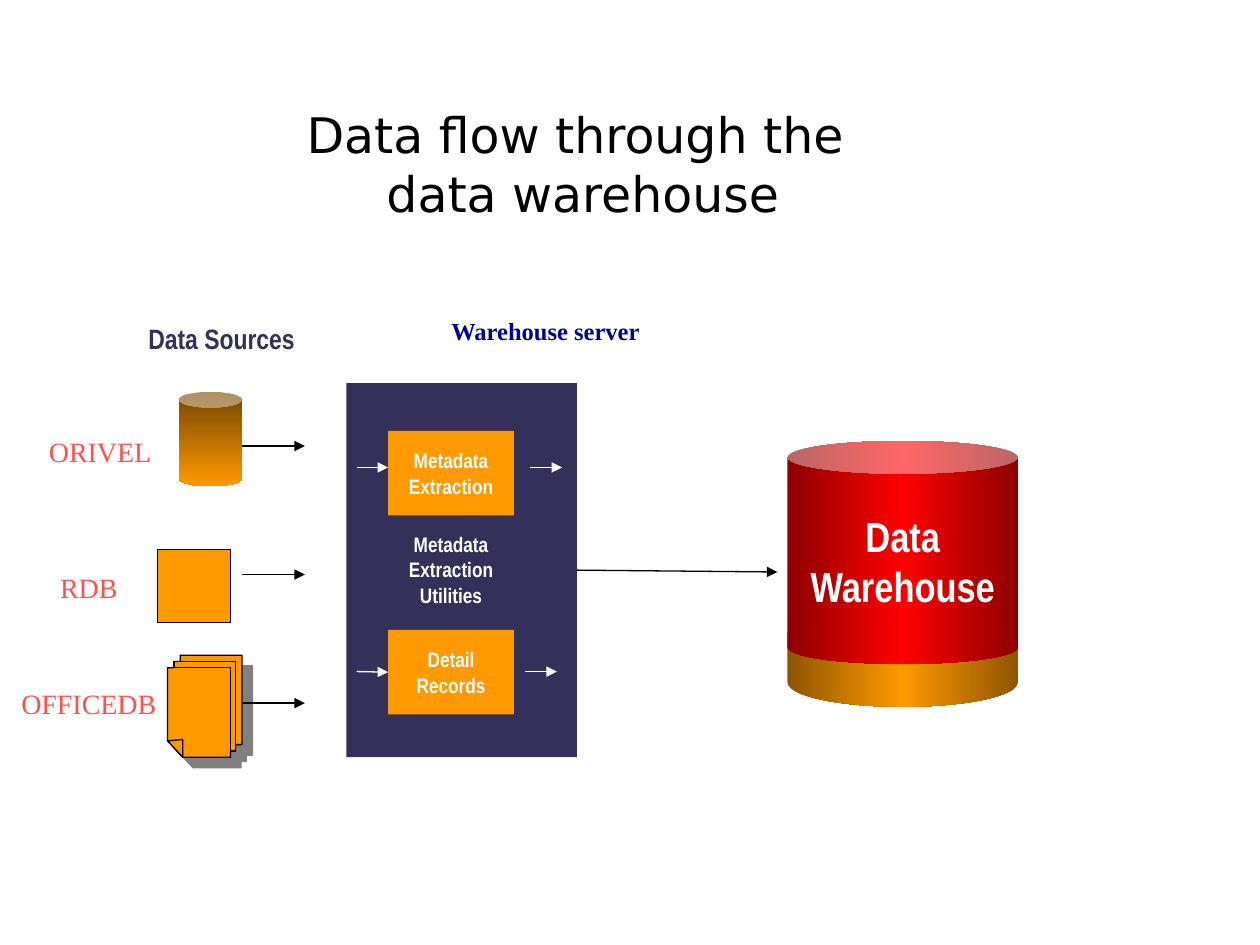
from lxml import etree
from pptx import Presentation
from pptx.dml.color import RGBColor
from pptx.enum.shapes import MSO_CONNECTOR, MSO_SHAPE
from pptx.enum.text import MSO_ANCHOR, MSO_AUTO_SIZE, PP_ALIGN
from pptx.oxml.ns import qn
from pptx.util import Inches, Pt

STRAIGHT = MSO_CONNECTOR.STRAIGHT
RECT, CAN = MSO_SHAPE.RECTANGLE, MSO_SHAPE.CAN
MIDDLE, TOP = MSO_ANCHOR.MIDDLE, MSO_ANCHOR.TOP
CENTER, LEFT = PP_ALIGN.CENTER, PP_ALIGN.LEFT
NO_AUTOFIT = MSO_AUTO_SIZE.NONE

NARROW, SERIF, SANS = "Arial Narrow", "Times New Roman", "DejaVu Sans"
NAVY, ORANGE, WHITE, BLACK = "333059", "FF9900", "FFFFFF", "000000"
BLUE, CORAL, GRAY = "000099", "FF5050", "808080"

PAGE_STACK = [
    [(133, 588), (133, 530), (138, 530), (138, 525), (143, 525), (143, 520), (192, 520),
     (192, 591), (187, 591), (187, 596), (183, 596), (183, 601), (145, 601)],
    [(143, 525), (187, 525), (187, 596), (183, 596), (183, 530), (138, 530), (138, 525)],
    [(133, 588), (145, 587), (145, 601)],
]


def rgb(color):
    """Turn a hex string into a colour."""
    return RGBColor.from_string(color)


def write(shape, lines, size=12, font=NARROW, color=WHITE, bold=False,
          align=CENTER, anchor=MIDDLE, wrap=False):
    """Fill a shape with one formatted paragraph per line."""
    frame = shape.text_frame
    frame.auto_size = NO_AUTOFIT
    frame.word_wrap = wrap
    frame.vertical_anchor = anchor
    frame.text = lines[0]
    for line in lines[1:]:
        frame.add_paragraph().text = line
    for paragraph in frame.paragraphs:
        paragraph.alignment = align
        paragraph.font.size = Pt(size)
        paragraph.font.name = font
        paragraph.font.bold = bold
        paragraph.font.color.rgb = rgb(color)


def paint(shape, fill, line=None):
    """Give a shape a flat fill and an optional thin outline."""
    shape.shadow.inherit = False
    shape.fill.solid()
    shape.fill.fore_color.rgb = rgb(fill)
    if line:
        shape.line.color.rgb = rgb(line)
        shape.line.width = Pt(0.75)
    else:
        shape.line.fill.background()


def add_box(slide, left, top, width, height, fill, line=None):
    """Add a plain rectangle."""
    box = slide.shapes.add_shape(RECT, Inches(left), Inches(top), Inches(width), Inches(height))
    paint(box, fill, line)
    return box


def add_cylinder(slide, left, top, width, height, curve, colors, angle=0):
    """Add a can with evenly spaced gradient colours."""
    can = slide.shapes.add_shape(CAN, Inches(left), Inches(top), Inches(width), Inches(height))
    can.shadow.inherit = False
    can.adjustments[0] = curve
    can.line.fill.background()
    can.fill.gradient()
    can.fill.gradient_angle = angle
    stops = can._element.spPr.find(".//" + qn("a:gsLst"))
    for stop in list(stops):
        stops.remove(stop)
    for index, color in enumerate(colors):
        position = str(100000 * index // (len(colors) - 1))
        stop = etree.SubElement(stops, qn("a:gs"), pos=position)
        etree.SubElement(stop, qn("a:srgbClr"), val=color)
    return can


def add_arrow(slide, x1, x2, y, color=BLACK, source=None, target=None):
    """Add a horizontal arrow, joined to the boxes it touches."""
    arrow = slide.shapes.add_connector(STRAIGHT, Inches(x1), Inches(y), Inches(x2), Inches(y))
    arrow.line.color.rgb = rgb(color)
    arrow.line.width = Pt(0.75)
    etree.SubElement(arrow.line._get_or_add_ln(), qn("a:tailEnd"), type="triangle")
    etree.SubElement(arrow._element.spPr, qn("a:effectLst"))
    if source:
        arrow.begin_connect(source, 3)
    if target:
        arrow.end_connect(target, 1)


def add_page_stack(slide):
    """Add the stacked pages with a hard drop shadow."""
    outline, *edges = PAGE_STACK
    builder = slide.shapes.build_freeform(*outline[0], scale=Inches(0.01))
    builder.add_line_segments(outline[1:])
    for edge in edges:
        builder.move_to(*edge[0])
        builder.add_line_segments(edge[1:])
    pages = builder.convert_to_shape()
    paint(pages, ORANGE, BLACK)
    properties = pages._element.spPr
    path_list = properties.find(".//" + qn("a:pathLst"))
    combined = path_list[0]
    for step in list(combined):
        if step.tag == qn("a:moveTo"):
            path = etree.SubElement(path_list, qn("a:path"), dict(combined.attrib))
        path.append(step)
        if step.getnext() is None and path[-1].tag != qn("a:close"):
            continue
    path_list.remove(combined)
    for path in path_list:
        if path[-1].tag != qn("a:close"):
            etree.SubElement(path, qn("a:close"))
    shadow = etree.SubElement(properties.find(qn("a:effectLst")), qn("a:outerShdw"),
                              dist=str(Pt(8.5)), dir="2700000", algn="ctr", rotWithShape="0")
    etree.SubElement(shadow, qn("a:srgbClr"), val=GRAY)


def add_text(slide, left, top, width, height, lines, **style):
    """Add a wrapped text box anchored at the top."""
    box = slide.shapes.add_textbox(Inches(left), Inches(top), Inches(width), Inches(height))
    write(box, lines, anchor=TOP, wrap=True, **style)


def add_title(slide, text):
    """Place and format the slide title."""
    title = slide.shapes.title
    title.left, title.top = Inches(0), Inches(0.67)
    title.width, title.height = Inches(9.25), Inches(1.25)
    write(title, [text], size=28, font=SANS, color=BLACK, wrap=True)


def add_sources(slide):
    """Draw the data sources, their names and outgoing arrows."""
    add_text(slide, 1.08, 2.5, 1.83, 0.37, ["Data Sources"],
             size=16, color=NAVY, bold=True, align=LEFT)
    add_cylinder(slide, 1.42, 3.11, 0.5, 0.75, 0.25, ["754600", ORANGE], angle=270)
    add_box(slide, 1.25, 4.36, 0.58, 0.58, ORANGE, BLACK)
    add_page_stack(slide)
    for row in range(3):
        add_arrow(slide, 1.92, 2.42, 3.54 + 1.02 * row)
    for name, left, top in [("ORIVEL", 0.42, 3.42), ("RDB", 0.33, 4.5), ("OFFICEDB", 0.33, 5.42)]:
        label = add_box(slide, left, top, 0.75, 0.33, WHITE, WHITE)
        write(label, [name], size=16, font=SERIF, color=CORAL)


def add_server(slide):
    """Draw the warehouse server with its steps and return its panel."""
    heading = add_box(slide, 3.33, 2.5, 2, 0.25, WHITE, WHITE)
    write(heading, ["Warehouse server"], size=14, font=SERIF, color=BLUE, bold=True)
    server = add_box(slide, 2.75, 3.04, 1.83, 2.97, NAVY)
    extraction = add_box(slide, 3.08, 3.42, 1, 0.67, ORANGE)
    write(extraction, ["Metadata", "Extraction"], bold=True)
    records = add_box(slide, 3.08, 5, 1, 0.67, ORANGE)
    write(records, ["Detail", "Records"], bold=True)
    add_text(slide, 3.08, 4.17, 1, 0.75, ["Metadata", "Extraction", "Utilities"], bold=True)
    add_arrow(slide, 2.83, 3.08, 3.71, WHITE)
    add_arrow(slide, 4.21, 4.46, 3.71, WHITE)
    add_arrow(slide, 2.83, 3.08, 5.33, WHITE, target=records)
    add_arrow(slide, 4.17, 4.42, 5.33, WHITE)
    return server


def add_warehouse(slide, server):
    """Draw the data warehouse fed by the server."""
    add_arrow(slide, 4.58, 6.17, 4.54, source=server)
    add_cylinder(slide, 6.25, 4.83, 1.83, 0.78, 0.5, ["8E5500", ORANGE, "8E5500"])
    warehouse = add_cylinder(slide, 6.25, 3.5, 1.83, 1.77, 0.147, ["8E0000", "FF0000", "8E0000"])
    write(warehouse, ["Data", "Warehouse"], size=24, bold=True)


def main():
    """Build and save the slide."""
    deck = Presentation()
    deck.slide_width, deck.slide_height = Inches(10), Inches(7.5)
    slide = deck.slides.add_slide(deck.slide_layouts[5])
    add_title(slide, "Data flow through the \vdata warehouse")
    add_sources(slide)
    server = add_server(slide)
    add_warehouse(slide, server)
    deck.save("out.pptx")


if __name__ == "__main__":
    main()
